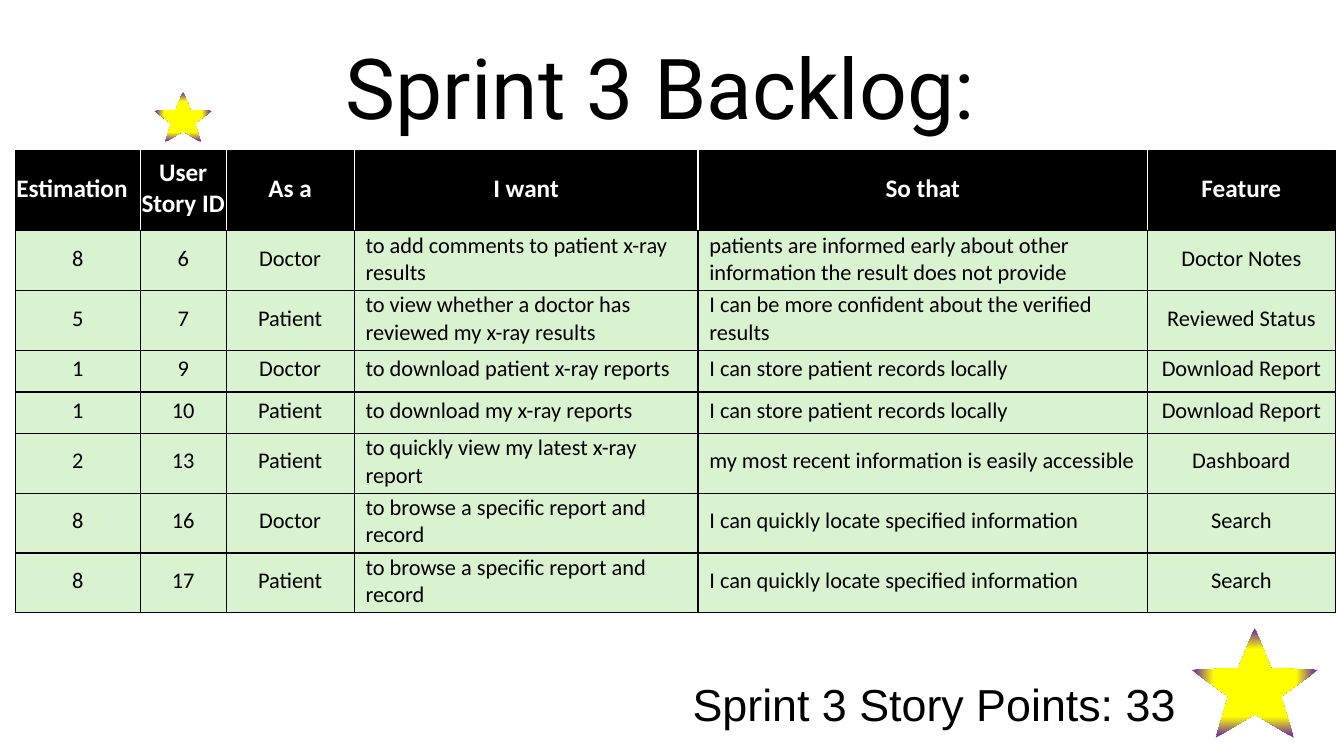
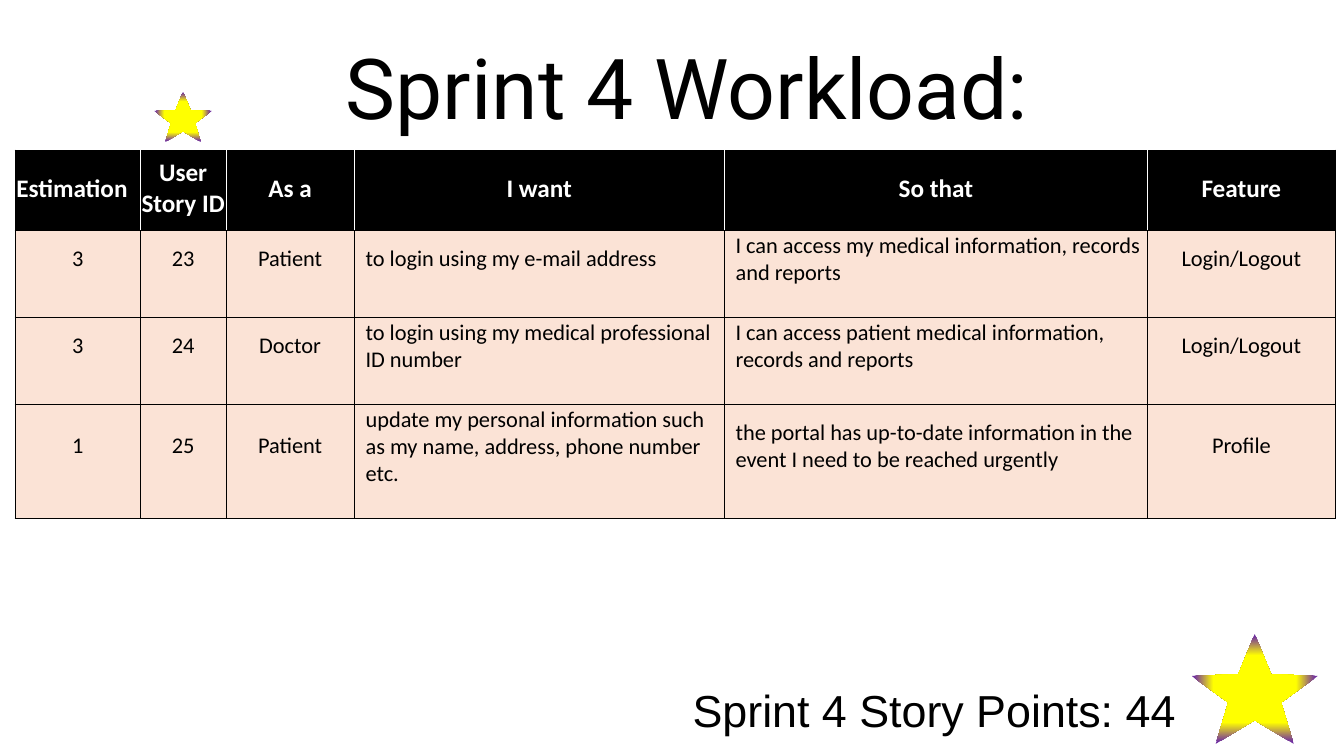
"""Build two sprint slides, each with a story table, a points total and stars."""
import dataclasses

import lxml.etree
import pptx
import pptx.dml.color
import pptx.enum.shapes
import pptx.enum.text
import pptx.oxml.ns
import pptx.util


@dataclasses.dataclass(frozen=True)
class Theme:
    black: str = "000000"
    white: str = "FFFFFF"
    green: str = "D9F2D0"
    peach: str = "FBE3D6"
    gold: str = "FFFF00"
    plum: str = "7030A0"
    title: int = 60
    total: int = 32
    head: int = 18
    body: int = 16


theme = Theme()
rgb = pptx.dml.color.RGBColor.from_string
qn = pptx.oxml.ns.qn
Pt = pptx.util.Pt
align = pptx.enum.text.PP_ALIGN

deck = pptx.Presentation()
deck.slide_width = pptx.util.Inches(13.33)
deck.slide_height = pptx.util.Inches(7.5)
col = deck.slide_width / 100
row = deck.slide_height / 100


def area(left, top, width, height):
    """Turn hundredths of the slide into a position and size."""
    return int(left * col), int(top * row), int(width * col), int(height * row)


def style(para, face, size, tint, bold=False):
    """Set the font of a whole paragraph."""
    para.font.name = face
    para.font.size = Pt(size)
    para.font.bold = bold
    para.font.color.rgb = rgb(tint)


heads = ["Estimation", "User Story ID", "As a", "I want", "So that", "Feature"]
tall, low = 7.9, 5.5
slides = [
    dict(
        title="Sprint 3 Backlog:", total="Sprint 3 Story Points: 33",
        fill=theme.green, want=25.58, drop=0, pad=0.67,
        rows=[tall, tall, low, low, tall, tall, tall],
        tales=[
            ["8", "6", "Doctor", "to add comments to patient x-ray results",
             "patients are informed early about other information the result does not provide",
             "Doctor Notes"],
            ["5", "7", "Patient", "to view whether a doctor has reviewed my x-ray results",
             "I can be more confident about the verified results", "Reviewed Status"],
            ["1", "9", "Doctor", "to download patient x-ray reports",
             "I can store patient records locally", "Download Report"],
            ["1", "10", "Patient", "to download my x-ray reports",
             "I can store patient records locally", "Download Report"],
            ["2", "13", "Patient", "to quickly view my latest x-ray report",
             "my most recent information is easily accessible", "Dashboard"],
            ["8", "16", "Doctor", "to browse a specific report and record",
             "I can quickly locate specified information", "Search"],
            ["8", "17", "Patient", "to browse a specific report and record",
             "I can quickly locate specified information", "Search"],
        ],
    ),
    dict(
        title="Sprint 4 Workload:", total="Sprint 4 Story Points: 44",
        fill=theme.peach, want=27.53, drop=0.8, pad=4.27,
        rows=[11.5, 11.5, 15.07],
        tales=[
            ["3", "23", "Patient", "to login using my e-mail address",
             "I can access my medical information, records and reports", "Login/Logout"],
            ["3", "24", "Doctor", "to login using my medical professional ID number",
             "I can access patient medical information, records and reports", "Login/Logout"],
            ["1", "25", "Patient",
             "update my personal information such as my name, address, phone number etc.",
             "the portal has up-to-date information in the event I need to be reached urgently",
             "Profile"],
        ],
    ),
]

for data in slides:
    slide = deck.slides.add_slide(deck.slide_layouts[6])
    drop = data["drop"]

    for text, face, size, spot in [
        (data["title"], "Roboto", theme.title, (25, 4, 58, 14.8)),
        (data["total"], "Arial", theme.total, (50.79, 88.8 + drop, 38.41, 8.53)),
    ]:
        frame = slide.shapes.add_textbox(*area(*spot)).text_frame
        frame.word_wrap = True
        frame.text = text
        style(frame.paragraphs[0], face, size, theme.black)

    widths = [9.3, 6.4, 9.53, data["want"], 59.04 - data["want"], 13.95]
    heights = [10.67] + data["rows"]
    spot = area(1.13, 19.87, sum(widths), sum(heights))
    table = slide.shapes.add_table(len(heights), len(widths), *spot).table
    table.horz_banding = False
    for part, width in zip(table.columns, widths):
        part.width = int(width * col)
    for part, height in zip(table.rows, heights):
        part.height = int(height * row)

    for r, words in enumerate([heads] + data["tales"]):
        top = r == 0
        for c, text in enumerate(words):
            cell = table.cell(r, c)
            prose = not top and c in (3, 4)
            cell.margin_left = int((0.85 if prose else 0.08) * col)
            cell.margin_right = int(0.08 * col)
            cell.margin_top = int(0.13 * row)
            cell.margin_bottom = int((0.67 if top else data["pad"]) * row)
            cell.vertical_anchor = pptx.enum.text.MSO_ANCHOR.MIDDLE
            cell.text = text
            para = cell.text_frame.paragraphs[0]
            para.alignment = align.LEFT if prose or (top and c == 0) else align.CENTER
            style(para, "Calibri", theme.head if top else theme.body,
                  theme.white if top else theme.black, top)

            inner = {"L": c > 0, "R": c < len(words) - 1, "T": False, "B": False}
            for side, between in inner.items():
                line = lxml.etree.SubElement(
                    cell._tc.get_or_add_tcPr(), qn("a:ln" + side), w=str(Pt(1)))
                solid = lxml.etree.SubElement(line, qn("a:solidFill"))
                tint = theme.white if top and between else theme.black
                lxml.etree.SubElement(solid, qn("a:srgbClr"), val=tint)
            cell.fill.solid()
            cell.fill.fore_color.rgb = rgb(theme.black if top else data["fill"])

    for spot in [(88.67, 83.07 + drop, 9.38, 14.53), (11.48, 12.13, 4.28, 6.67)]:
        star = slide.shapes.add_shape(
            pptx.enum.shapes.MSO_SHAPE.STAR_5_POINT, *area(*spot))
        star.adjustments[0] = 0.21
        star.shadow.inherit = False
        star.line.fill.background()
        star.fill.gradient()
        stops = [(0.61, theme.gold), (0.96, theme.plum)]
        for stop, (place, tint) in zip(star.fill.gradient_stops, stops):
            stop.position = place
            stop.color.rgb = rgb(tint)
        blend = star._element.spPr.find(qn("a:gradFill"))
        blend.remove(blend.find(qn("a:lin")))
        burst = lxml.etree.SubElement(blend, qn("a:path"), path="shape")
        lxml.etree.SubElement(
            burst, qn("a:fillToRect"), dict.fromkeys("ltrb", "50000"))

deck.save("out.pptx")
